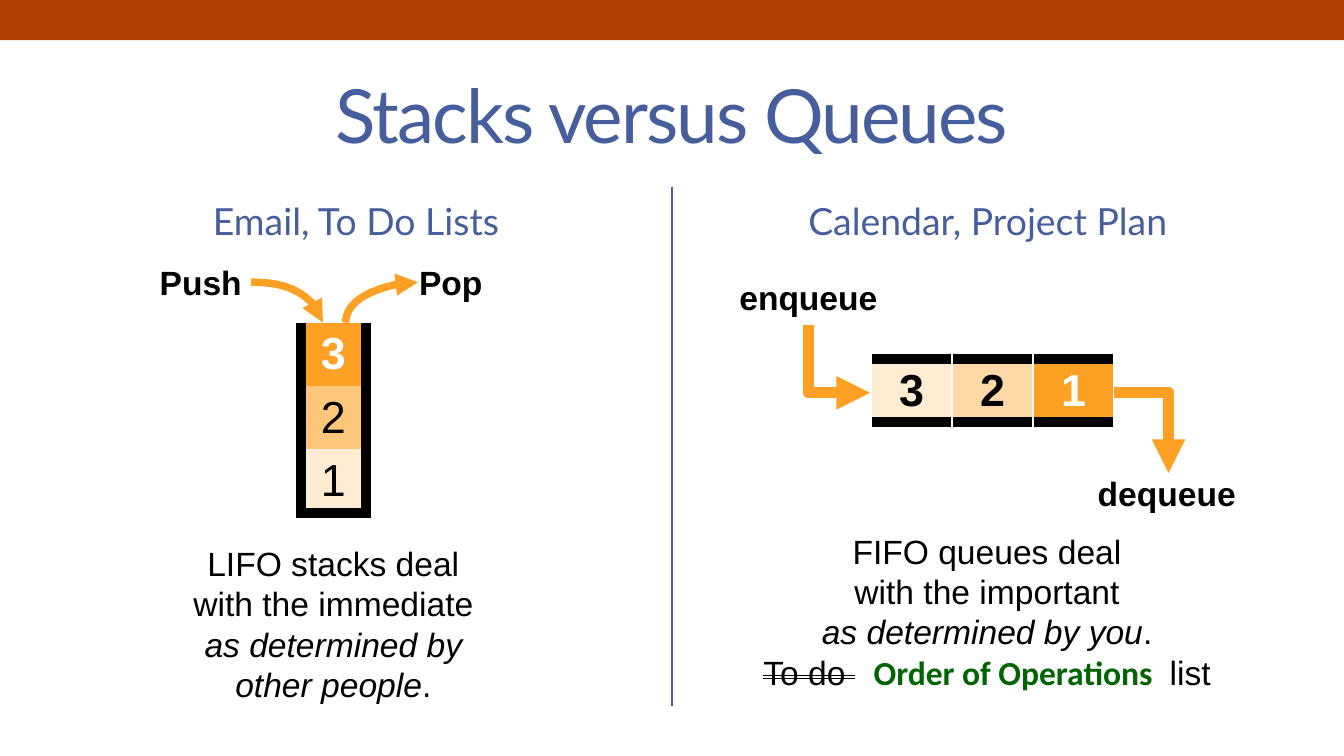
from lxml import etree
from pptx import Presentation
from pptx.dml.color import RGBColor
from pptx.enum import shapes, text
from pptx.oxml import ns
from pptx.util import Pt

COLORS = {
    "rust": "B04004", "blue": "465E9C", "orange": "FDA023", "amber": "FEC67B",
    "peach": "FED9A7", "cream": "FFECD3", "black": "000000", "white": "FFFFFF",
    "green": "006400",
}
rgb = {name: RGBColor.from_string(value) for name, value in COLORS.items()}
CENTER, LEFT = text.PP_ALIGN.CENTER, text.PP_ALIGN.LEFT


def write(para, runs, align=CENTER, **base):
    para.alignment = align
    para.space_before = Pt(0)
    for words, changes in runs:
        style = {"name": "Arial", "size": 18, "color": "black", "bold": False, **base, **changes}
        for number, line in enumerate(words.split("\n")):
            if number:
                para.add_line_break()
            if not line:
                continue
            span = para.add_run()
            span.text = line
            span.font.size = Pt(style["size"])
            span.font.color.rgb = rgb[style["color"]]
            for key in ("name", "bold", "italic"):
                setattr(span.font, key, style.get(key))
            for key in ("spc", "strike"):
                if key in style:
                    span.font._element.set(key, style[key])


def border(cell, sides):
    props = cell._tc.get_or_add_tcPr()
    for side in "LRTB":
        color, width = sides.get(side, (None, 0))
        line = etree.SubElement(props, ns.qn("a:ln" + side), w=str(Pt(width)))
        if color:
            fill = etree.SubElement(line, ns.qn("a:solidFill"))
            etree.SubElement(fill, ns.qn("a:srgbClr"), val=COLORS[color])
        else:
            etree.SubElement(line, ns.qn("a:noFill"))


deck = Presentation()
deck.slide_width, deck.slide_height = Pt(720), Pt(405)
page = deck.slides.add_slide(deck.slide_layouts[4])

headings = {
    0: ("Stacks versus Queues", (36, 31.7, 648, 58.3), {"size": 40, "spc": "-100"}),
    1: ("Email, To Do Lists", (36, 99.4, 309.6, 37.4), {"size": 20}),
    3: ("Calendar, Project Plan", (374.4, 99.4, 309.6, 37.4), {"size": 20}),
}
for holder in list(page.placeholders):
    if holder.placeholder_format.idx not in headings:
        holder._element.getparent().remove(holder._element)
        continue
    words, place, style = headings[holder.placeholder_format.idx]
    for key, value in zip(("left", "top", "width", "height"), place):
        setattr(holder, key, Pt(value))
    holder.text_frame.vertical_anchor = text.MSO_ANCHOR.MIDDLE
    holder.text_frame.auto_size = text.MSO_AUTO_SIZE.NONE
    write(holder.text_frame.paragraphs[0], [(words, {})], name="Lato", color="blue", **style)

banner = page.shapes.add_shape(shapes.MSO_SHAPE.RECTANGLE, 0, 0, Pt(720), Pt(21.6))
banner.shadow.inherit = False
banner.fill.solid()
banner.fill.fore_color.rgb = rgb["rust"]
banner.line.fill.background()

wall = ("black", 6)
gap = ("white", 1)
stack_sides = {"L": wall, "R": wall}
queue_sides = {"L": gap, "R": gap, "T": wall, "B": wall}
tables = [
    (3, 1, (161.3, 172.8, 34.6, 102), [
        ("3", "orange", "white", True, stack_sides),
        ("2", "amber", "black", False, stack_sides),
        ("1", "cream", "black", False, {**stack_sides, "B": wall}),
    ]),
    (1, 3, (466.6, 192.2, 130.2, 34), [
        ("3", "cream", "black", True, queue_sides),
        ("2", "peach", "black", True, queue_sides),
        ("1", "orange", "white", True, queue_sides),
    ]),
]
for rows, columns, place, items in tables:
    table = page.shapes.add_table(rows, columns, *map(Pt, place)).table
    table.first_row = table.horz_banding = False
    for cell, (digit, fill, color, bold, sides) in zip(table.iter_cells(), items):
        cell.margin_top = cell.margin_bottom = Pt(2)
        cell.vertical_anchor = text.MSO_ANCHOR.MIDDLE
        border(cell, sides)
        cell.fill.solid()
        cell.fill.fore_color.rgb = rgb[fill]
        write(cell.text_frame.paragraphs[0], [(digit, {})], size=24, color=color, bold=bold)

bold, italic = {"bold": True}, {"italic": True}
boxes = [
    ((78.5, 136.8, 61.9, 28.8), LEFT, 21.6, [("Push", bold)]),
    ((217.4, 136.8, 56.9, 28.8), LEFT, 21.6, [("Pop", bold)]),
    ((92.2, 287.3, 172.8, 94.3), CENTER, 21.6, [
        ("LIFO stacks deal\nwith the immediate ", {}),
        ("as determined by other people", italic),
        (".", {}),
    ]),
    ((387.4, 148.3, 91.4, 25.2), CENTER, 18, [("enqueue", bold)]),
    ((581, 253.4, 90, 25.2), LEFT, 18, [("dequeue", bold)]),
    ((389.5, 280.8, 278.6, 94.3), CENTER, 21.6, [
        ("FIFO queues deal\nwith the important\n", {}),
        ("as determined by you", italic),
        (".\n", {}),
        ("To do ", {"strike": "dblStrike"}),
        (" ", {"spc": "500"}),
        ("Order of Operations", {"name": "Calibri", "color": "green", "bold": True}),
        (" ", {"spc": "400"}),
        ("list", {}),
    ]),
]
for place, align, spacing, runs in boxes:
    box = page.shapes.add_textbox(*map(Pt, place))
    box.text_frame.word_wrap = True
    para = box.text_frame.paragraphs[0]
    para.line_spacing = Pt(spacing)
    write(para, runs, align)

STRAIGHT, CURVE, ELBOW = (
    shapes.MSO_CONNECTOR.STRAIGHT, shapes.MSO_CONNECTOR.CURVE, shapes.MSO_CONNECTOR.ELBOW)
lines = [
    (STRAIGHT, (360, 100, 360, 378), 0, "line", "blue", 1.5, None),
    (CURVE, (134.4, 151.2, 173, 172.8), 0, "curvedConnector2", "orange", 4, "tailEnd"),
    (CURVE, (185.2, 172.8, 223.9, 151.2), 180, "curvedConnector2", "orange", 4, "headEnd"),
    (ELBOW, (467.8, 175.7, 431.3, 208.8), 270, "bentConnector2", "orange", 6, "tailEnd"),
    (ELBOW, (596.9, 210.2, 626, 253.4), 0, "bentConnector2", "orange", 6, "tailEnd"),
]
for kind, ends, turn, preset, color, width, arrow in lines:
    connector = page.shapes.add_connector(kind, *map(Pt, ends))
    connector.line.color.rgb = rgb[color]
    connector.line.width = Pt(width)
    props = connector._element.spPr
    props.find(ns.qn("a:prstGeom")).set("prst", preset)
    if turn:
        props.find(ns.qn("a:xfrm")).set("rot", str(turn * 60000))
    if arrow:
        etree.SubElement(props.find(ns.qn("a:ln")), ns.qn("a:" + arrow), type="triangle")
    etree.SubElement(props, ns.qn("a:effectLst"))

deck.save("out.pptx")
